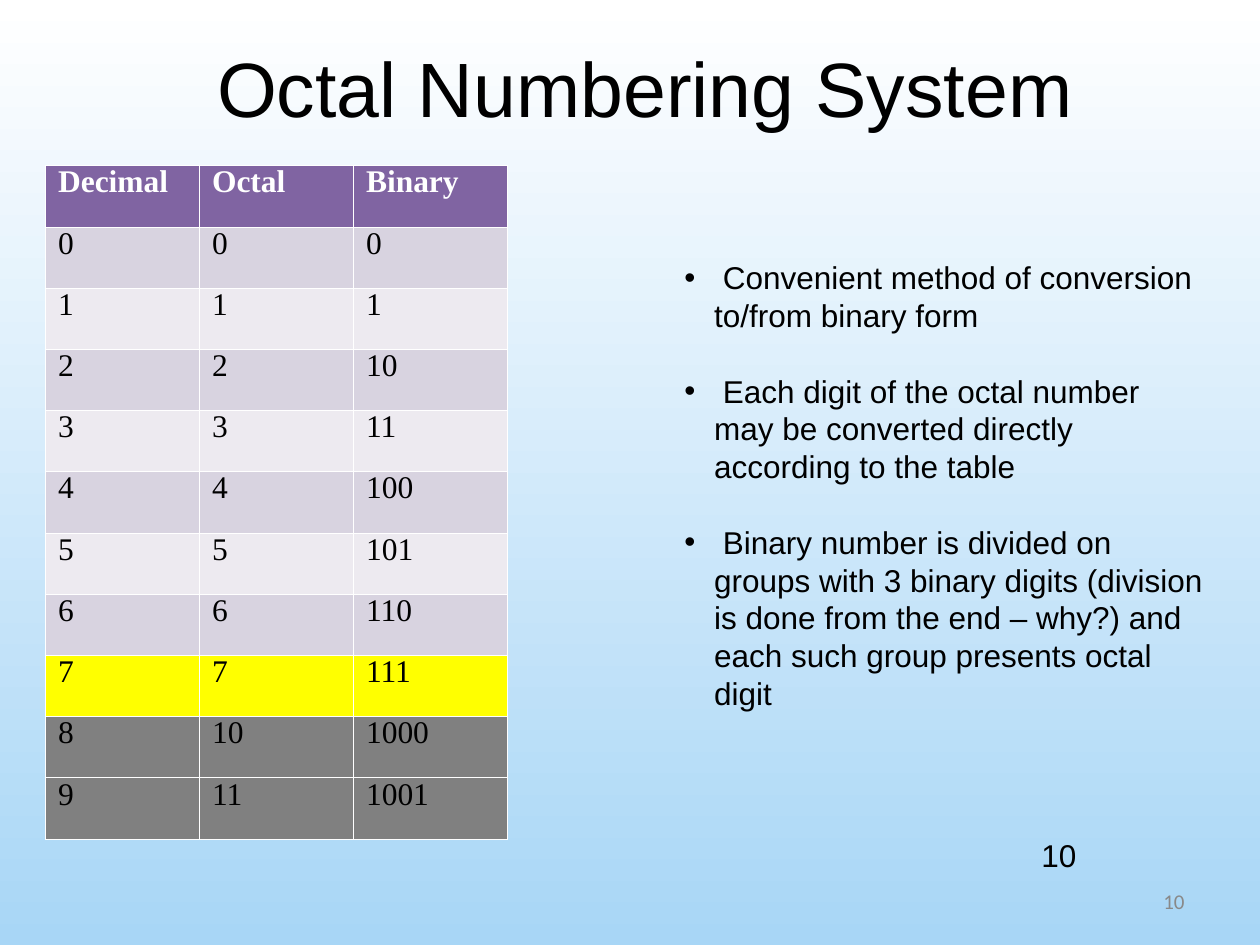
from pptx import Presentation
from pptx.dml.color import RGBColor
from pptx.enum.text import MSO_ANCHOR as Anchor, PP_ALIGN as Align
from pptx.oxml import parse_xml
from pptx.oxml.ns import nsdecls
from pptx.util import Pt

BLACK = RGBColor(0x00, 0x00, 0x00)
WHITE = RGBColor(0xFF, 0xFF, 0xFF)
SKY = RGBColor(0xA8, 0xD6, 0xF6)
PURPLE = RGBColor(0x80, 0x64, 0xA2)
LILAC = RGBColor(0xD8, 0xD3, 0xE0)
PALE_LILAC = RGBColor(0xED, 0xEA, 0xF0)
YELLOW = RGBColor(0xFF, 0xFF, 0x00)
GREY = RGBColor(0x80, 0x80, 0x80)
NUMBER_GREY = RGBColor(0x89, 0x89, 0x89)

LINE_HEIGHT = 21.6
BULLET_INDENT = 17
BORDER_WIDTH = 0.06

HEADINGS = ["Decimal", "Octal", "Binary"]
BULLETS = [
    " Convenient method of conversion to/from binary form",
    " Each digit of the octal number may be converted directly according to the table",
    " Binary number is divided on groups with 3 binary digits (division is done from"
    " the end – why?) and each such group presents octal digit",
]


def write(paragraph, text, size=18, font="Arial", color=BLACK, bold=False,
          align=None, spacing=None):
    """Put formatted text into a paragraph."""
    run = paragraph.add_run()
    run.text = text
    run.font.size = Pt(size)
    run.font.name = font
    run.font.bold = bold
    run.font.color.rgb = color
    paragraph.alignment = align
    paragraph.line_spacing = spacing


def add_frame(slide, box, anchor=Anchor.TOP):
    """Add an empty wrapping text box and return its text frame."""
    frame = slide.shapes.add_textbox(*map(Pt, box)).text_frame
    frame.word_wrap = True
    frame.vertical_anchor = anchor
    return frame


def add_title(slide, box):
    paragraph = add_frame(slide, box, Anchor.MIDDLE).paragraphs[0]
    write(paragraph, "Octal Numbering System ", size=44, align=Align.CENTER)
    paragraph._p.get_or_add_pPr().set("rtl", "1")


def add_borders(cell):
    properties = cell._tc.get_or_add_tcPr()
    for position, side in enumerate(("lnL", "lnR", "lnT", "lnB")):
        properties.insert(position, parse_xml(
            f'<a:{side} {nsdecls("a")} w="{Pt(BORDER_WIDTH)}"><a:solidFill>'
            f'<a:srgbClr val="{WHITE}"/></a:solidFill></a:{side}>'))


def row_fill(row):
    """Heading, banded octal digits, last digit, then two-digit numbers."""
    if row == 0:
        return PURPLE
    if row > 8:
        return GREY
    if row == 8:
        return YELLOW
    return LILAC if row % 2 else PALE_LILAC


def add_number_table(slide, box):
    rows = [HEADINGS] + [[str(n), f"{n:o}", f"{n:b}"] for n in range(10)]
    table = slide.shapes.add_table(len(rows), len(HEADINGS), *map(Pt, box)).table
    for row, values in enumerate(rows):
        heading = row == 0
        for column, value in enumerate(values):
            cell = table.cell(row, column)
            cell.fill.solid()
            cell.fill.fore_color.rgb = row_fill(row)
            add_borders(cell)
            write(cell.text_frame.paragraphs[0], value, font="Times New Roman",
                  color=WHITE if heading else BLACK, bold=heading, spacing=0.76)


def add_bullets(slide, box):
    frame = add_frame(slide, box)
    for index, text in enumerate(BULLETS):
        paragraph = frame.add_paragraph() if index else frame.paragraphs[0]
        properties = paragraph._p.get_or_add_pPr()
        properties.set("marL", str(Pt(BULLET_INDENT)))
        properties.set("indent", str(-Pt(BULLET_INDENT)))
        for bullet_part in (f'<a:buClr {nsdecls("a")}><a:srgbClr val="{BLACK}"/></a:buClr>',
                            f'<a:buFont {nsdecls("a")} typeface="Arial"/>',
                            f'<a:buChar {nsdecls("a")} char="•"/>'):
            properties.append(parse_xml(bullet_part))
        write(paragraph, text, spacing=Pt(LINE_HEIGHT))
        if index:
            paragraph.space_before = Pt(LINE_HEIGHT)


def add_page_numbers(slide, footer_box, label_box):
    footer = add_frame(slide, footer_box, Anchor.MIDDLE)
    write(footer.paragraphs[0], "10", size=12, font="Calibri",
          color=NUMBER_GREY, align=Align.RIGHT)
    write(add_frame(slide, label_box).paragraphs[0], "10")


def add_background(slide):
    fill = slide.background.fill
    fill.gradient()
    fill.gradient_angle = 270
    for stop, color, position in zip(fill.gradient_stops, (WHITE, SKY), (0, 1)):
        stop.color.rgb = color
        stop.position = position


def main():
    presentation = Presentation()
    presentation.slide_width, presentation.slide_height = Pt(720), Pt(540)
    slide = presentation.slides.add_slide(presentation.slide_layouts[6])

    add_background(slide)
    # Heading
    add_title(slide, (42.5, 10, 641.5, 78.5))
    # Number table on the left
    add_number_table(slide, (26, 94.5, 264, 385))
    # Explanation on the right
    add_bullets(slide, (384, 144, 311.75, 245))
    # Page numbers
    add_page_numbers(slide, (516, 500.5, 168, 28.75), (588, 474, 168, 36.5))

    presentation.save("out.pptx")


if __name__ == "__main__":
    main()
